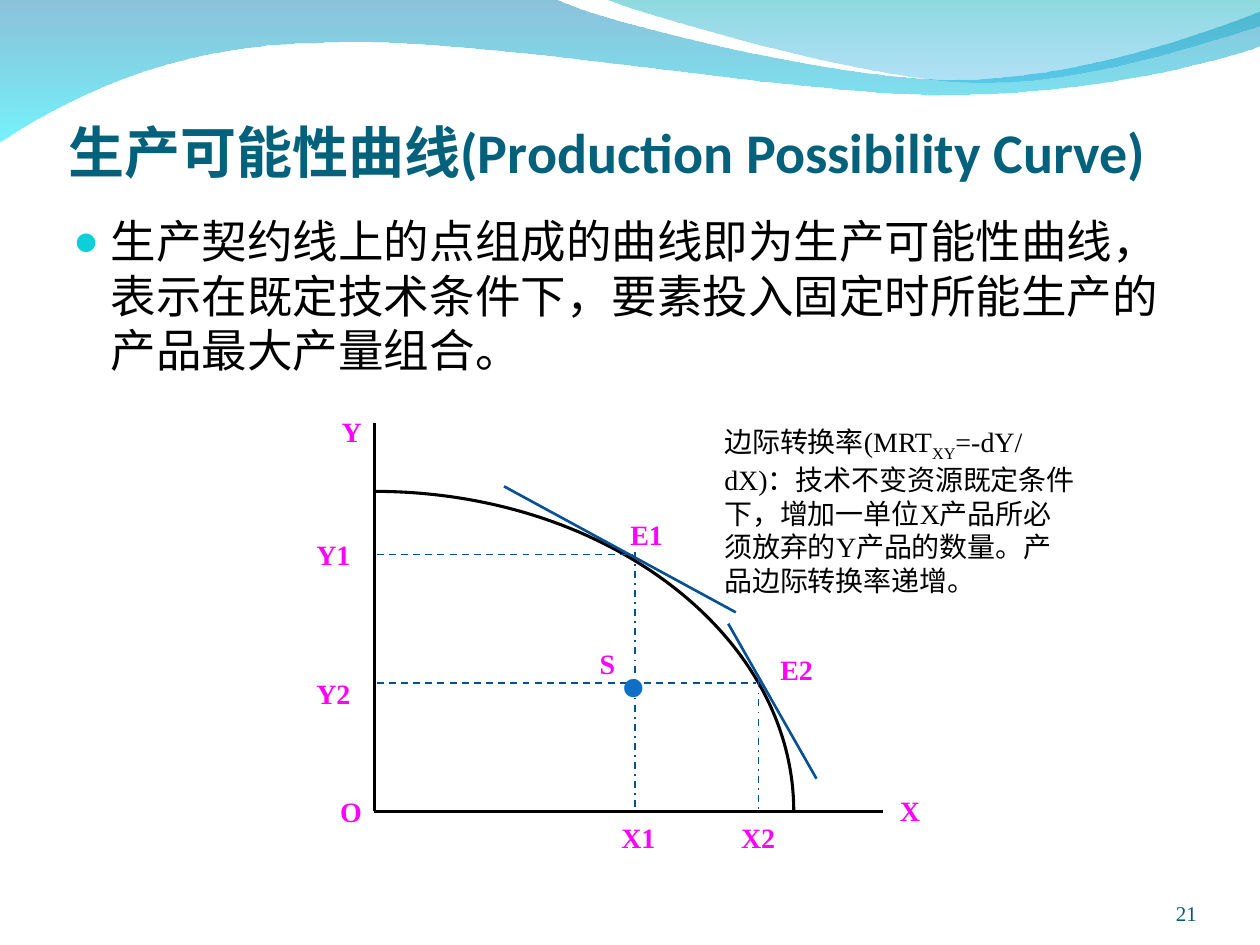
from dataclasses import dataclass

from lxml.etree import SubElement
from pptx import Presentation
from pptx.dml.color import RGBColor
from pptx.enum.dml import MSO_LINE
from pptx.enum.shapes import MSO_CONNECTOR
from pptx.enum.text import MSO_ANCHOR, MSO_AUTO_SIZE, PP_ALIGN
from pptx.oxml.ns import qn
from pptx.util import Inches, Pt


@dataclass(frozen=True)
class Theme:
    title: str = "04617B"
    number: str = "045C75"
    bullet: str = "0BD0D9"
    text: str = "000000"
    label: str = "FF00FF"
    guide: str = "065093"
    point: str = "0F6FC6"
    title_font: str = "Calibri"
    body_font: str = "Vollkorn"
    chart_font: str = "Times New Roman"
    title_size: int = 32
    body_size: int = 26
    label_size: int = 16
    number_size: int = 12
    point_size: int = 88


THEME = Theme()

WAVES = [
    ([(0, -0.01), (4.4, -0.01),
      [(4.76, 0.17), (6.64, 0.63), (7.58, 0.63)],
      [(8.53, 0.63), (9.58, 0.26), (10, 0.09)],
      (10.01, 0.36),
      [(9.83, 0.44), (8.7, 0.76), (7.46, 0.75)],
      [(6.22, 0.75), (3.82, 0.28), (2.57, 0.34)],
      [(1.29, 0.35), (0.46, 0.83), (-0.01, 1.13)]],
     [("0079AF", 45), ("00EBF8", 55)]),
    ([(4.79, -0.01),
      [(5.09, 0.11), (6.82, 0.62), (7.69, 0.65)],
      [(8.56, 0.69), (9.61, 0.32), (10, 0.21)],
      (10, 0)],
     [("00ADB6", 45), ("009BE5", 30)]),
]

ORIGIN = (2.97, 6.44)
FRONTIER = [(2.97, 3.9), [(4.81, 3.9), (6.3, 5.04), (6.3, 6.44)]]

PLOT_LABELS = [
    ("O", 2.35, 6.26, 0.62), ("X", 7.01, 6.25, 0.39), ("Y", 2.58, 3.24, 0.39),
    ("E1", 4.82, 4.06, 0.54), ("X1", 4.68, 6.46, 0.62), ("Y1", 2.35, 4.22, 0.53),
    ("Y2", 2.35, 5.32, 0.53), ("X2", 5.63, 6.46, 0.62),
]
POINT_LABELS = [("E2", 6.02, 5.13, 0.53), ("S", 4.44, 5.08, 0.54)]

EQUILIBRIA = [
    ((5.04, 4.4), ((4, 3.86), (5.84, 4.86))),
    ((6.02, 5.42), ((5.78, 4.95), (6.48, 6.18))),
]


def rgb(color):
    return RGBColor.from_string(color)


def bend_curves(shape, segments):
    lines = iter(list(shape.element.iter(qn("a:lnTo"))))
    for segment in segments:
        first = next(lines)
        if isinstance(segment, list):
            first.tag = qn("a:cubicBezTo")
            for line in (next(lines), next(lines)):
                first.append(line[0])
                line.getparent().remove(line)


def add_outline(shapes, outline, close):
    start, *segments = outline
    points = []
    for segment in segments:
        points.extend(segment if isinstance(segment, list) else [segment])
    builder = shapes.build_freeform(Inches(start[0]), Inches(start[1]))
    builder.add_line_segments([(Inches(x), Inches(y)) for x, y in points], close=close)
    shape = builder.convert_to_shape()
    shape.shadow.inherit = False
    curve_segments = segments
    bend_curves(shape, curve_segments)
    return shape


def add_wave(shapes, outline, colors, depth):
    shape = add_outline(shapes, outline, True)
    shape.line.fill.background()
    shape.fill.gradient()
    shape.fill.gradient_angle = 270
    for stop, (color, opacity) in zip(shape.fill.gradient_stops, colors):
        stop.color.rgb = rgb(color)
    color_elements = list(shape.element.spPr.iter(qn("a:srgbClr")))
    for element, (color, opacity) in zip(color_elements, colors):
        SubElement(element, qn("a:alpha"), val=str(opacity * 1000))
    shape.element.getparent().insert(2 + depth, shape.element)


def add_frontier(shapes):
    shape = add_outline(shapes, FRONTIER, False)
    shape.fill.background()
    shape.line.color.rgb = rgb(THEME.text)
    shape.line.width = Pt(1.75)


def add_line(shapes, start, end, color, width, dash=None):
    ends = [Inches(value) for value in (*start, *end)]
    connector = shapes.add_connector(MSO_CONNECTOR.STRAIGHT, *ends)
    connector.line.color.rgb = rgb(color)
    connector.line.width = Pt(width)
    if dash:
        connector.line.dash_style = dash
    SubElement(connector.element.spPr, qn("a:effectLst"))


def set_font(paragraph, name, size, color, bold=False):
    paragraph.font.name = name
    paragraph.font.size = Pt(size)
    paragraph.font.bold = bold
    paragraph.font.color.rgb = rgb(color)


def place(shape, left, top, width, height):
    shape.left, shape.top = Inches(left), Inches(top)
    shape.width, shape.height = Inches(width), Inches(height)


def set_insets(frame, top=0):
    frame.margin_left = frame.margin_right = frame.margin_bottom = 0
    frame.margin_top = Inches(top)


def add_text(shapes, text, box, size, color, bold=False, align=PP_ALIGN.RIGHT):
    frame = shapes.add_textbox(*[Inches(value) for value in box]).text_frame
    frame.word_wrap = True
    frame.auto_size = MSO_AUTO_SIZE.SHAPE_TO_FIT_TEXT
    paragraph = frame.paragraphs[0]
    paragraph.text = text
    paragraph.alignment = align
    set_font(paragraph, THEME.chart_font, size, color, bold)
    return frame


def add_labels(shapes, labels):
    for text, left, top, width in labels:
        add_text(shapes, text, (left, top, width, 0.37), THEME.label_size, THEME.label, True)


def fill_title(title):
    place(title, 0.54, 0.68, 9, 0.79)
    frame = title.text_frame
    frame.text = "生产可能性曲线(Production Possibility Curve)"
    frame.auto_size = MSO_AUTO_SIZE.NONE
    frame.vertical_anchor = MSO_ANCHOR.BOTTOM
    set_insets(frame, 0.05)
    frame.paragraphs[0].alignment = PP_ALIGN.LEFT
    set_font(frame.paragraphs[0], THEME.title_font, THEME.title_size, THEME.title, True)


def fill_body(body):
    place(body, 0.48, 1.64, 9, 5.29)
    frame = body.text_frame
    frame.text = "生产契约线上的点组成的曲线即为生产可能性曲线，表示在既定技术条件下，要素投入固定时所能生产的产品最大产量组合。"
    frame.auto_size = MSO_AUTO_SIZE.NONE
    paragraph = frame.paragraphs[0]
    properties = paragraph._p.get_or_add_pPr()
    properties.set("marL", str(Inches(0.3)))
    properties.set("indent", str(Inches(-0.3)))
    bullet_color = SubElement(properties, qn("a:buClr"))
    SubElement(bullet_color, qn("a:srgbClr"), val=THEME.bullet)
    SubElement(properties, qn("a:buSzPct"), val="95000")
    SubElement(properties, qn("a:buChar"), char="●")
    paragraph.space_before = Pt(0)
    set_font(paragraph, THEME.body_font, THEME.body_size, THEME.text)


def add_note(shapes):
    frame = add_text(shapes, "边际转换率(MRT", (5.65, 3.32, 3.01, 1.47),
                     THEME.label_size, THEME.text, align=PP_ALIGN.LEFT)
    paragraph = frame.paragraphs[0]
    subscript = paragraph.add_run()
    subscript.text = "XY"
    subscript._r.get_or_add_rPr().set("baseline", "-25000")
    paragraph.add_run().text = "=-dY/dX)：技术不变资源既定条件下，增加一单位X产品所必须放弃的Y产品的数量。产品边际转换率递增。"


def add_plot(shapes):
    plot = shapes.add_group_shape().shapes
    for end in ((2.97, 3.36), (7.01, 6.44)):
        add_line(plot, ORIGIN, end, THEME.text, 1.75)
    add_frontier(plot)
    add_labels(plot, PLOT_LABELS)
    add_note(plot)
    for (x, y), tangent in EQUILIBRIA:
        add_line(shapes, (2.99, y), (x - 0.02, y), THEME.guide, 1, MSO_LINE.DASH)
        add_line(shapes, (x, y - 0.02), (x, 6.42), THEME.guide, 1, MSO_LINE.DASH_DOT)
        add_line(shapes, *tangent, THEME.guide, 1.5)
    add_text(shapes, ".", (4.78, 4.25, 0.4, 1.57), THEME.point_size, THEME.point)
    add_labels(shapes, POINT_LABELS)


def add_slide_number(shapes):
    frame = add_text(shapes, "21", (8.67, 6.95, 0.83, 0.4), THEME.number_size, THEME.number)
    frame.auto_size = MSO_AUTO_SIZE.NONE
    frame.vertical_anchor = MSO_ANCHOR.BOTTOM
    set_insets(frame)


def main():
    presentation = Presentation()
    presentation.slide_width, presentation.slide_height = Inches(10), Inches(7.5)
    slide = presentation.slides.add_slide(presentation.slide_layouts[1])
    for depth, (outline, colors) in enumerate(WAVES):
        add_wave(slide.shapes, outline, colors, depth)
    fill_title(slide.shapes.title)
    fill_body(slide.placeholders[1])
    add_slide_number(slide.shapes)
    add_plot(slide.shapes)
    presentation.save("out.pptx")


if __name__ == "__main__":
    main()
